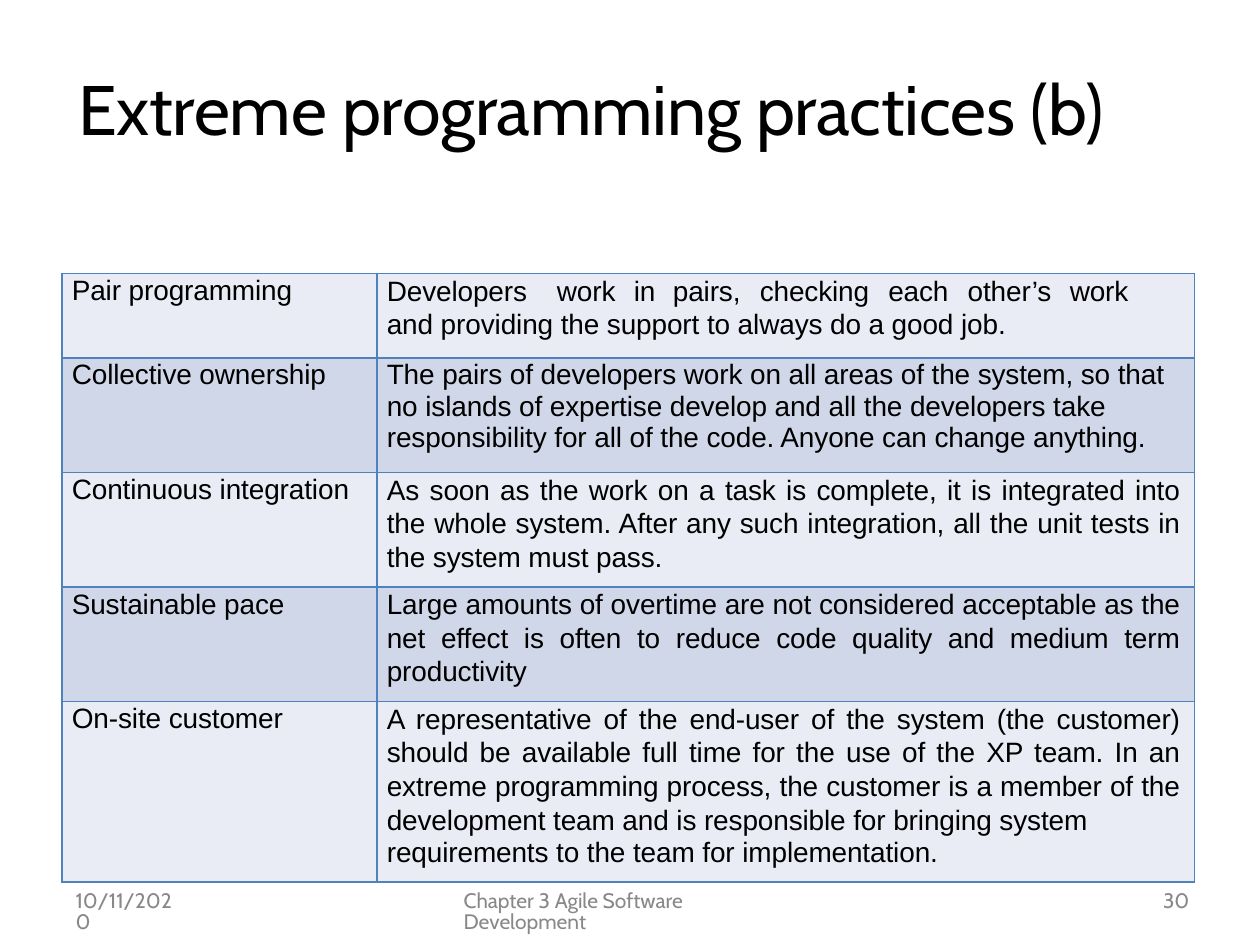
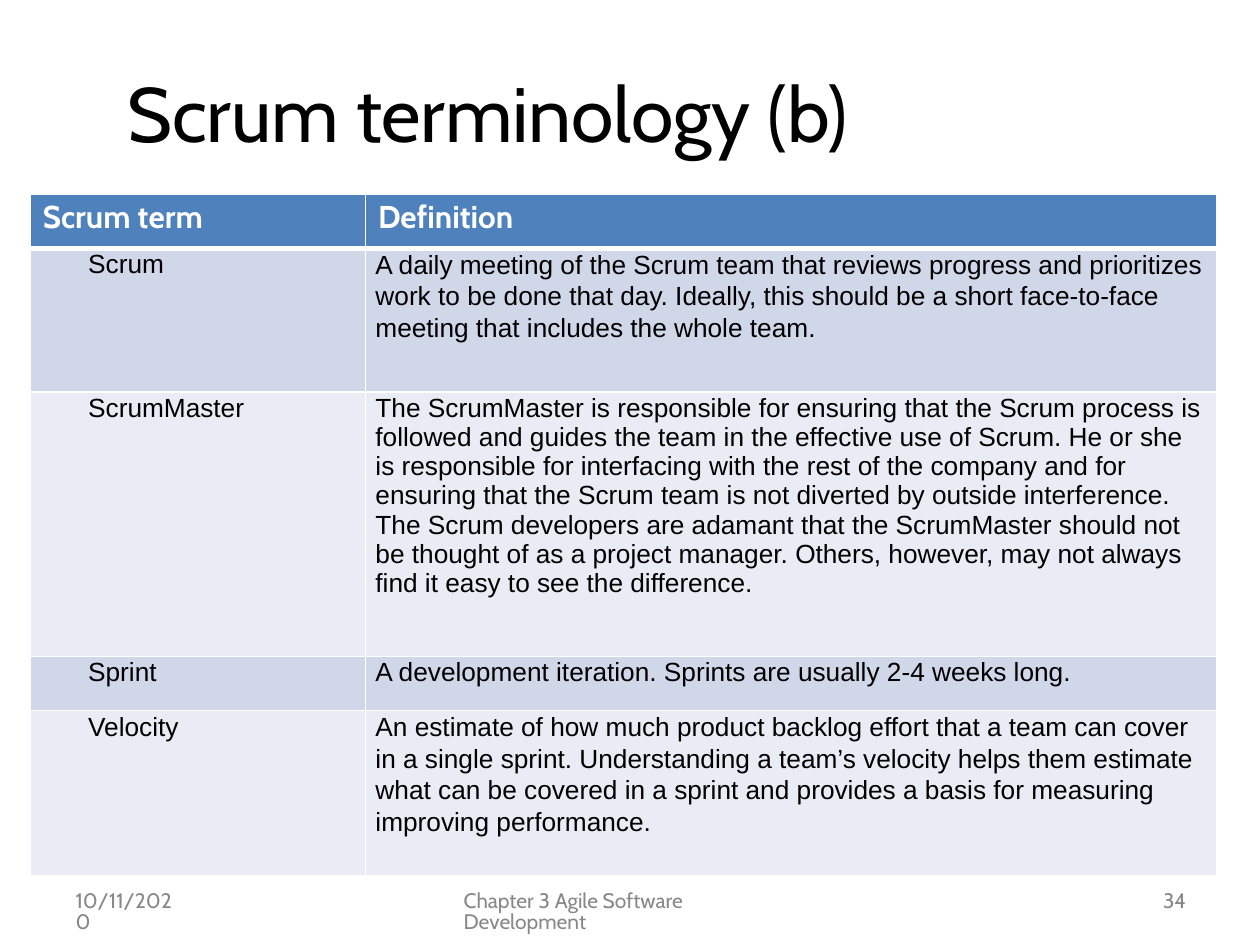
from lxml import etree
from pptx import Presentation
from pptx.dml.color import RGBColor
from pptx.enum.text import MSO_ANCHOR, MSO_AUTO_SIZE, PP_ALIGN
from pptx.oxml.ns import qn
from pptx.util import Inches, Pt

BLACK = RGBColor(0x00, 0x00, 0x00)
WHITE = RGBColor(0xFF, 0xFF, 0xFF)
GRAY = RGBColor(0x88, 0x88, 0x88)
BLUE = RGBColor(0x4F, 0x81, 0xBC)
PALE = RGBColor(0xE9, 0xEC, 0xF4)
MIST = RGBColor(0xD0, 0xD7, 0xE8)
HEADING_FONT, TABLE_FONT = "Cabin", "Arial"
LEFT, JUSTIFY = PP_ALIGN.LEFT, PP_ALIGN.JUSTIFY

DATE = "10/11/2020"
FOOTER = "Chapter 3 Agile Software Development"
FOOTER_TOP, FOOTER_HEIGHT = 7.07, 0.19

PRACTICES = {
    "title": "Extreme programming practices (b)",
    "title_box": (0.61, 0.51, 8.79, 0.69),
    "title_size": 40,
    "number": "30",
    "origin": (0.49, 2.17),
    "columns": (2.5, 6.49),
    "heights": (0.67, 0.91, 0.91, 0.91, 1.43),
    "indents": (0.08, 0.08),
    "right_margins": (0, 0.11),
    "size": 16,
    "tracking": -5,
    "term_spacing": 18.9,
    "border": BLUE,
    "bands": (PALE, MIST),
    "header": None,
    "tabs": (1.35, 1.96, 2.27, 2.96, 3.98, 4.61, 5.42, 6.04),
    "rows": [
        ("Pair programming", [
            ("Developers\twork\tin\tpairs,\tchecking\teach\tother’s\twork\tand "
             "providing the support to always do a good job.", LEFT, 19.2, 0.2)]),
        ("Collective ownership", [
            ("The pairs of developers work on all areas of the system, so that",
             LEFT, 18.9, 0),
            ("no islands of expertise develop and all the developers take "
             "responsibility for all of the code. Anyone can change anything.",
             LEFT, None, 0)]),
        ("Continuous integration", [
            ("As soon as the work on a task is complete, it is integrated into "
             "the whole system. After any such integration, all the unit tests in "
             "the system must pass.", JUSTIFY, 19.2, 0.3)]),
        ("Sustainable pace", [
            ("Large amounts of overtime are not considered acceptable as "
             "the net effect is often to reduce code quality and medium term "
             "productivity", JUSTIFY, 19.2, 0.3)]),
        ("On-site customer", [
            ("A representative of the end-user of the system (the customer) "
             "should be available full time for the use of the XP team. In an "
             "extreme programming process, the customer is a member of the "
             "development team and is responsible for bringing system",
             JUSTIFY, 19.2, 0.3),
            ("requirements to the team for implementation.", JUSTIFY, 18.6, 0)]),
    ],
}

TERMINOLOGY = {
    "title": "Scrum terminology (b)",
    "title_box": (1, 0.51, 6.79, 0.76),
    "title_size": 44,
    "number": "34",
    "origin": (0.24, 1.54),
    "columns": (2.66, 6.76),
    "heights": (0.43, 1.14, 2.1, 0.43, 1.31),
    "indents": (0.46, 0.08),
    "right_margins": (0, 0.1),
    "size": 15,
    "tracking": 0,
    "term_spacing": 17.7,
    "border": WHITE,
    "bands": (MIST, PALE),
    "header": ("Scrum term", "Definition"),
    "tabs": (),
    "rows": [
        ("Scrum", [
            ("A daily meeting of the Scrum team that reviews progress and "
             "prioritizes work to be done that day. Ideally, this should be a short "
             "face-to-face meeting that includes the whole team.", LEFT, 18, 0.2)]),
        ("ScrumMaster", [
            ("The ScrumMaster is responsible for ensuring that the Scrum process is",
             LEFT, 17.7, 0),
            ("followed and guides the team in the effective use of Scrum. He or she "
             "is responsible for interfacing with the rest of the company and for "
             "ensuring that the Scrum team is not diverted by outside interference. "
             "The Scrum developers are adamant that the ScrumMaster should not "
             "be thought of as a project manager. Others, however, may not always "
             "find it easy to see the difference.", LEFT, None, 0)]),
        ("Sprint", [
            ("A development iteration. Sprints are usually 2-4 weeks long.",
             LEFT, 17.7, 0)]),
        ("Velocity", [
            ("An estimate of how much product backlog effort that a team can cover "
             "in a single sprint. Understanding a team’s velocity helps them estimate "
             "what can be covered in a sprint and provides a basis for measuring "
             "improving performance.", LEFT, 18, 0.3)]),
    ],
}


def format_paragraph(paragraph, text, font, size, color, indent=0.01, align=LEFT,
                     spacing=None, before=0, bold=False, tabs=(), tracking=0):
    paragraph.text = text
    paragraph.alignment = align
    paragraph.space_before = Pt(before)
    if spacing:
        paragraph.line_spacing = Pt(spacing)
    properties = paragraph._p.get_or_add_pPr()
    properties.set("marL", str(Inches(indent)))
    if tabs:
        tab_list = etree.SubElement(properties, qn("a:tabLst"))
        for position in tabs:
            etree.SubElement(tab_list, qn("a:tab"), pos=str(Inches(position)), algn="l")
    for run in paragraph.runs:
        run.font.name = font
        run.font.size = Pt(size)
        run.font.bold = bold
        run.font.color.rgb = color
        run._r.get_or_add_rPr().set("spc", str(tracking))


def set_margins(target, top=0, right=0):
    target.margin_left = target.margin_bottom = 0
    target.margin_top = Inches(top)
    target.margin_right = Inches(right)


def prepare_frame(text_frame, top=0):
    set_margins(text_frame, top)
    text_frame.word_wrap = True
    text_frame.vertical_anchor = MSO_ANCHOR.TOP
    text_frame.auto_size = MSO_AUTO_SIZE.SHAPE_TO_FIT_TEXT


def add_title(slide, content):
    title = slide.shapes.title
    title.left, title.top, title.width, title.height = map(Inches, content["title_box"])
    prepare_frame(title.text_frame, 0.01)
    format_paragraph(title.text_frame.paragraphs[0], content["title"], HEADING_FONT,
                     content["title_size"], BLACK, before=1.1, tracking=-10)


def add_footers(slide, number):
    for text, left, width, indent in ((DATE, 0.59, 0.84, 0.01),
                                      (FOOTER, 3.67, 2.66, 0.01),
                                      (number, 9.19, 0.25, 0.04)):
        box = slide.shapes.add_textbox(Inches(left), Inches(FOOTER_TOP),
                                       Inches(width), Inches(FOOTER_HEIGHT))
        prepare_frame(box.text_frame)
        format_paragraph(box.text_frame.paragraphs[0], text, HEADING_FONT, 12, GRAY,
                         indent, spacing=12.4)


def style_cell(cell, fill, border, top=1, bottom=1):
    properties = cell._tc.get_or_add_tcPr()
    for side, width in (("L", 1), ("R", 1), ("T", top), ("B", bottom)):
        line = etree.SubElement(properties, qn("a:ln" + side), w=str(Pt(width)))
        solid = etree.SubElement(line, qn("a:solidFill"))
        etree.SubElement(solid, qn("a:srgbClr"), val=str(border))
    cell.fill.solid()
    cell.fill.fore_color.rgb = fill


def add_definition_table(slide, content):
    columns, heights = content["columns"], content["heights"]
    left, top = content["origin"]
    table = slide.shapes.add_table(len(heights), len(columns), Inches(left), Inches(top),
                                   Inches(sum(columns)), Inches(sum(heights))).table
    table.first_row = bool(content["header"])
    table.horz_banding = False
    for column, width in zip(table.columns, columns):
        column.width = Inches(width)
    for row, height in zip(table.rows, heights):
        row.height = Inches(height)

    first = 0
    if content["header"]:
        first = 1
        for cell, text in zip(table.rows[0].cells, content["header"]):
            set_margins(cell, 0.03)
            style_cell(cell, BLUE, content["border"], bottom=3)
            format_paragraph(cell.text_frame.paragraphs[0], text, HEADING_FONT, 18,
                             WHITE, 0.1, before=2.4, bold=True)

    for index, (term, definition) in enumerate(content["rows"]):
        entries = ([(term, LEFT, content["term_spacing"], 0)], definition)
        cells = table.rows[first + index].cells
        for cell, paragraphs, indent, right in zip(cells, entries, content["indents"],
                                                   content["right_margins"]):
            set_margins(cell, right=right)
            style_cell(cell, content["bands"][index % 2], content["border"],
                       top=3 if first and index == 0 else 1)
            for position, (text, align, spacing, before) in enumerate(paragraphs):
                frame = cell.text_frame
                paragraph = frame.add_paragraph() if position else frame.paragraphs[0]
                format_paragraph(paragraph, text, TABLE_FONT, content["size"], BLACK,
                                 indent, align, spacing, before,
                                 tabs=content["tabs"] if "\t" in text else (),
                                 tracking=content["tracking"])


presentation = Presentation()
presentation.slide_width, presentation.slide_height = Inches(10), Inches(7.5)
for content in (PRACTICES, TERMINOLOGY):
    slide = presentation.slides.add_slide(presentation.slide_layouts[5])
    add_footers(slide, content["number"])
    add_title(slide, content)
    add_definition_table(slide, content)
presentation.save("out.pptx")
